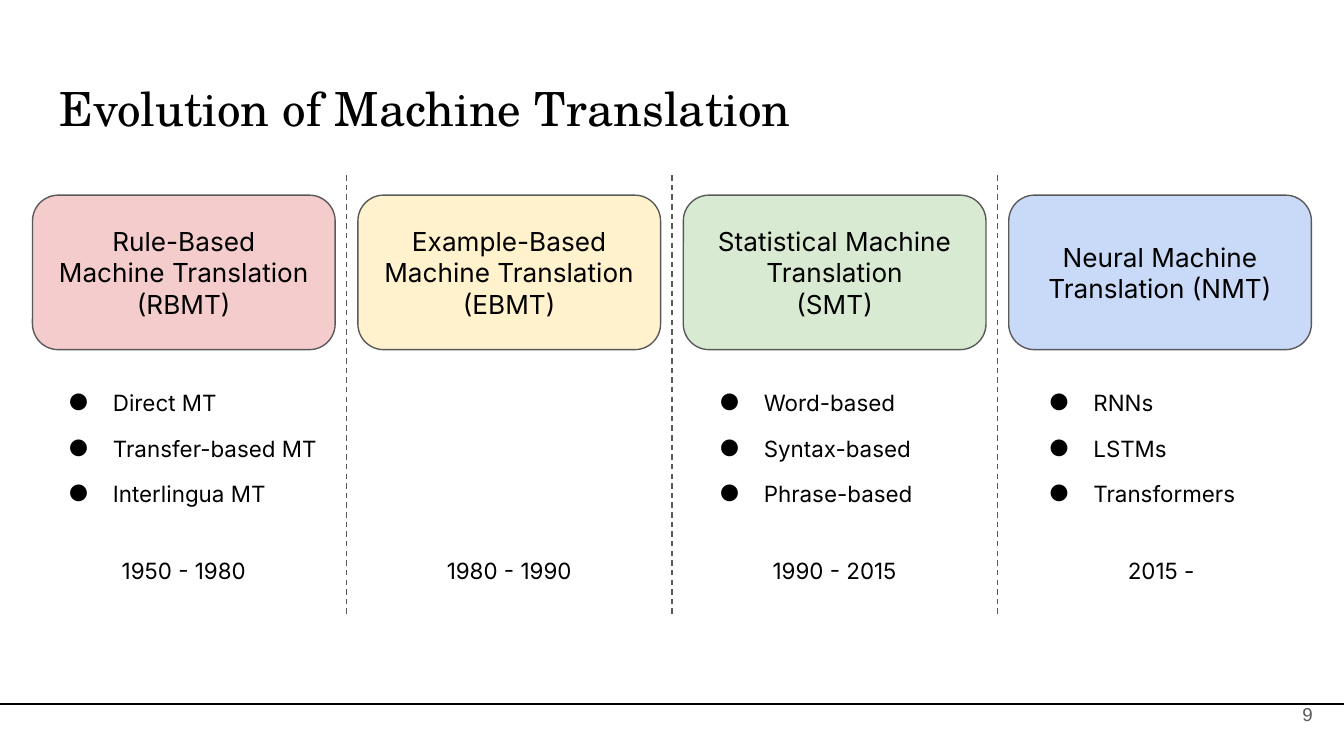
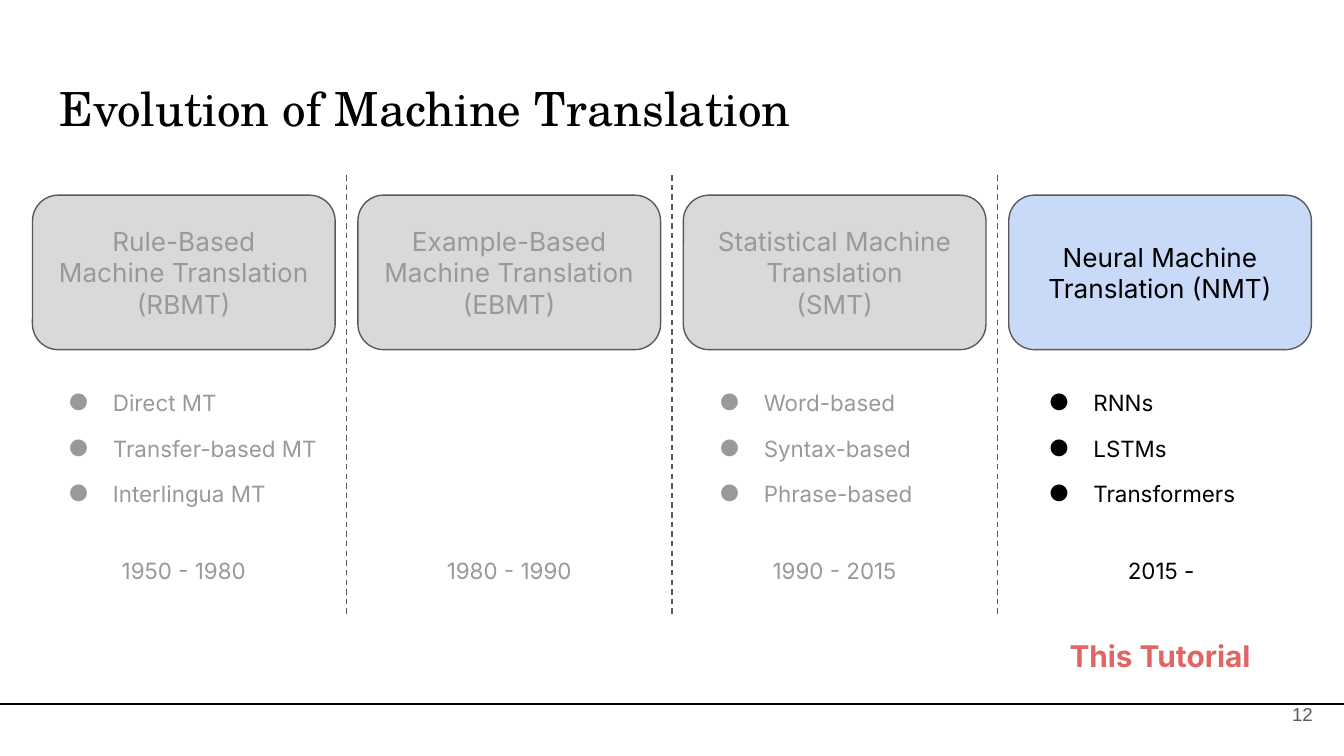
from lxml.etree import SubElement
from pptx import Presentation
from pptx.dml.color import RGBColor
from pptx.enum.dml import MSO_LINE
from pptx.enum.shapes import MSO_CONNECTOR, MSO_SHAPE
from pptx.enum.text import MSO_ANCHOR, PP_ALIGN
from pptx.oxml.ns import qn
from pptx.util import Cm, Pt

# Content
TITLE = "Evolution of Machine Translation"
ERAS = [
    {"name": ["Rule-Based", "Machine Translation", "(RBMT)"], "fill": "F4CCCC",
     "methods": ["Direct MT", "Transfer-based MT", "Interlingua MT"],
     "years": "1950 - 1980", "shift": 0},
    {"name": ["Example-Based", "Machine Translation", "(EBMT)"], "fill": "FFF2CC",
     "methods": [], "years": "1980 - 1990", "shift": 0},
    {"name": ["Statistical Machine Translation", "(SMT)"], "fill": "D9EAD3",
     "methods": ["Word-based", "Syntax-based", "Phrase-based"],
     "years": "1990 - 2015", "shift": 0},
    {"name": ["Neural Machine Translation (NMT)"], "fill": "C9DAF8",
     "methods": ["RNNs", "LSTMs", "Transformers"],
     "years": "2015 - ", "shift": 0.08},
]
SLIDES = [
    {"number": "9", "muted": 0, "callout": None},
    {"number": "12", "muted": 3, "callout": "This Tutorial"},
]

# Shared style and column grid, in centimetres
BLACK, GRAY, MUTED_TEXT, MUTED_FILL, RED = "000000", "595959", "999999", "D9D9D9", "E06666"
WIDTH, HEIGHT = 25.4, 14.29
BOX_W, BOX_H, PITCH = 5.72, 2.92, 6.15
LEFT = (WIDTH - 3 * PITCH - BOX_W) / 2
GAP = PITCH - BOX_W

TITLE_FONT = {"name": "TeX Gyre Schola", "size": Pt(25.2)}
NAME_FONT = {"name": "Inter", "size": Pt(14)}
BODY_FONT = {"name": "Inter", "size": Pt(12)}
CALLOUT_FONT = {"name": "Inter", "size": Pt(16), "bold": True}
NUMBER_FONT = {"name": "Arial", "size": Pt(10)}
CENTER = {"alignment": PP_ALIGN.CENTER}


def rgb(color):
    return RGBColor.from_string(color)


def set_all(target, values):
    for key, value in values.items():
        setattr(target, key, value)


def add_bullet(p, color):
    pPr = p._p.get_or_add_pPr()
    pPr.set("marL", str(Cm(1.27)))
    pPr.set("indent", str(-Cm(0.84)))
    SubElement(SubElement(pPr, qn("a:buClr")), qn("a:srgbClr"), val=color)
    SubElement(pPr, qn("a:buFont"), typeface="Inter")
    SubElement(pPr, qn("a:buChar"), char="●")


def write(sp, lines, font, color, para=None, anchor=MSO_ANCHOR.TOP, bullets=False):
    tf = sp.text_frame
    margins = {f"margin_{side}": Cm(0.25) for side in ("left", "top", "right", "bottom")}
    set_all(tf, {"word_wrap": True, "vertical_anchor": anchor, **margins})
    for i, line in enumerate(lines):
        p = tf.paragraphs[0] if i == 0 else tf.add_paragraph()
        if bullets:
            add_bullet(p, color)
            if i:
                p.space_before = Pt(10)
        set_all(p, para or {})
        r = p.add_run()
        r.text = line
        set_all(r.font, font)
        r.font.color.rgb = rgb(color)


def add_text(s, x, y, w, h, lines, font, color, **options):
    sp = s.shapes.add_textbox(Cm(x), Cm(y), Cm(w), Cm(h))
    write(sp, lines, font, color, **options)


def add_line(s, x1, y1, x2, y2, color, dash=None):
    line = s.shapes.add_connector(MSO_CONNECTOR.STRAIGHT, Cm(x1), Cm(y1), Cm(x2), Cm(y2))
    line.line.color.rgb = rgb(color)
    set_all(line.line, {"width": Pt(0.75), "dash_style": dash})
    SubElement(line._element.spPr, qn("a:effectLst"))


def add_era(s, era, x, muted):
    color = MUTED_TEXT if muted else BLACK
    # Name box
    sp = s.shapes.add_shape(MSO_SHAPE.ROUNDED_RECTANGLE, Cm(x), Cm(3.69), Cm(BOX_W), Cm(BOX_H))
    sp.shadow.inherit = False
    sp.fill.solid()
    sp.fill.fore_color.rgb = rgb(MUTED_FILL if muted else era["fill"])
    sp.line.color.rgb = rgb(GRAY)
    sp.line.width = Pt(0.75)
    write(sp, era["name"], NAME_FONT, color, para=CENTER, anchor=MSO_ANCHOR.MIDDLE)
    # Methods and years
    x += era["shift"]
    if era["methods"]:
        add_text(s, x, 7.11, BOX_W, 2.82, era["methods"], BODY_FONT, color, bullets=True)
    add_text(s, x, 10.29, BOX_W, 1.14, [era["years"]], BODY_FONT, color, para=CENTER)


def add_frame(s, number):
    add_text(s, 0.87, 1.25, 23.67, 1.6, [TITLE], TITLE_FONT, BLACK)
    add_line(s, 0, 13.31, WIDTH, 13.31, BLACK)
    add_text(s, 23.55, 12.96, 1.51, 1.09, [number], NUMBER_FONT, GRAY,
             para={"alignment": PP_ALIGN.RIGHT}, anchor=MSO_ANCHOR.MIDDLE)


def main():
    prs = Presentation()
    prs.slide_width, prs.slide_height = Cm(WIDTH), Cm(HEIGHT)
    for page in SLIDES:
        s = prs.slides.add_slide(prs.slide_layouts[6])
        add_frame(s, page["number"])
        for i, era in enumerate(ERAS):
            x = LEFT + i * PITCH
            add_era(s, era, x, muted=i < page["muted"])
            if i:
                add_line(s, x - GAP / 2, 3.31, x - GAP / 2, 11.65, GRAY, MSO_LINE.DASH)
        if page["callout"]:
            add_text(s, 19.55, 11.82, 4.75, 1.14, [page["callout"]], CALLOUT_FONT, RED,
                     para=CENTER, anchor=MSO_ANCHOR.MIDDLE)
    prs.save("out.pptx")


if __name__ == "__main__":
    main()
